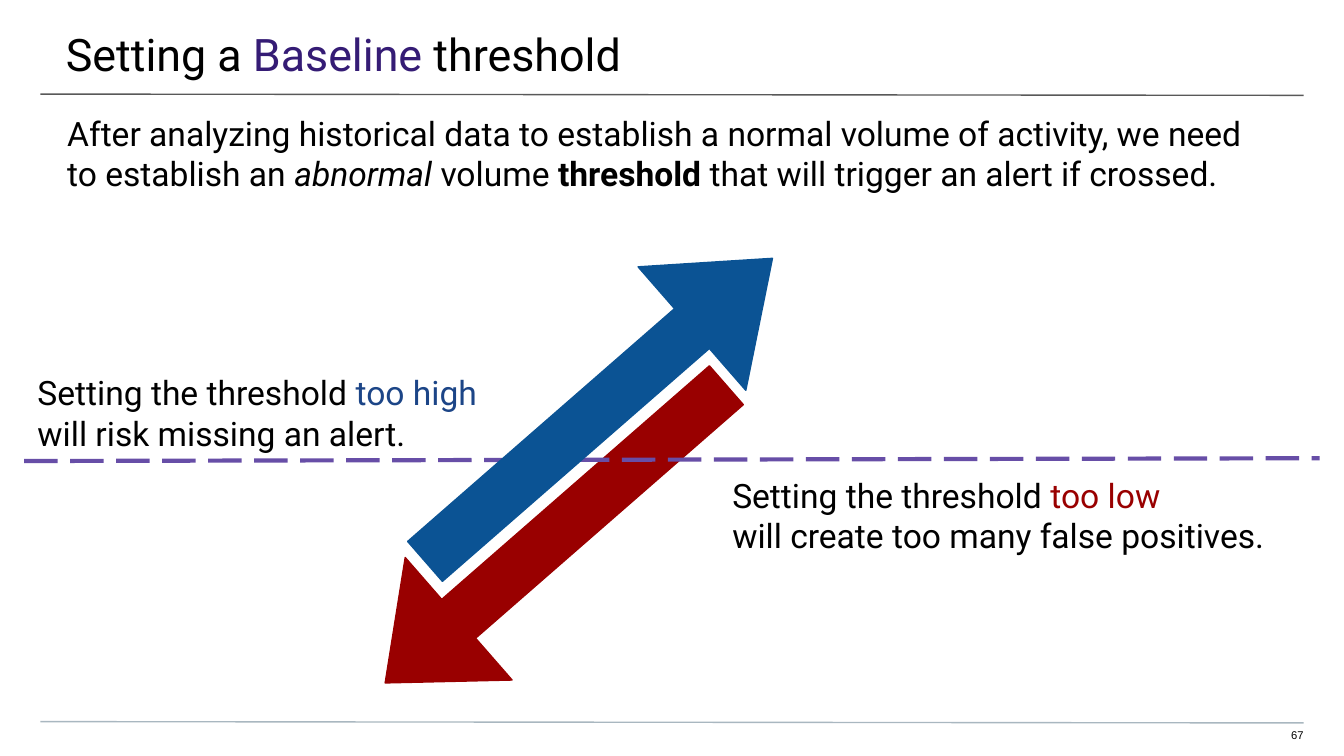
from lxml import etree
from pptx import Presentation
from pptx.dml.color import RGBColor
from pptx.enum import dml, shapes, text
from pptx.oxml.ns import qn
from pptx.util import Pt

BLACK = RGBColor(0x00, 0x00, 0x00)
PURPLE = RGBColor(0x35, 0x1C, 0x75)
VIOLET = RGBColor(0x67, 0x4E, 0xA7)
NAVY = RGBColor(0x1C, 0x45, 0x87)
BLUE = RGBColor(0x0B, 0x53, 0x94)
RED = RGBColor(0x99, 0x00, 0x00)
GRAY = RGBColor(0x59, 0x59, 0x59)
PALE = RGBColor(0xA9, 0xB7, 0xC0)

TITLE = [[("Setting a ", {}), ("Baseline", {"color": PURPLE}), (" threshold", {})]]
INTRO = [[
    ("After analyzing historical data to establish a normal volume of activity, "
     "we need to establish an ", {}),
    ("abnormal ", {"italic": True}),
    ("volume ", {}),
    ("threshold", {"bold": True}),
    (" that will trigger an alert if crossed.", {}),
]]
TOO_HIGH = [
    [("Setting the threshold ", {}), ("too high", {"color": NAVY})],
    [("will risk missing an alert.", {})],
]
TOO_LOW = [
    [("Setting the threshold ", {}), ("too low", {"color": RED})],
    [("will create too many false positives.", {})],
]
PAGE_NUMBER = [[("67", {})]]

RULES = [
    ((21.6, 50.4, 698.4, 51.1), GRAY),
    ((21.6, 386.6, 698.4, 387.3), PALE),
]
THRESHOLD = (13, 247, 707, 245.5)
LOW_ARROW = ((176.4, 242.6, 242.6, 87.1), 138.9, (0.317, 0.6), RED)
HIGH_ARROW = ((197.3, 175.7, 247, 87.8), 318.9, (0.323, 0.652), BLUE)


def write(box, paragraphs, insets, size, name="Roboto", align=text.PP_ALIGN.LEFT):
    frame = box.text_frame
    frame.word_wrap = True
    frame.auto_size = text.MSO_AUTO_SIZE.NONE
    frame.vertical_anchor = text.MSO_ANCHOR.TOP
    (frame.margin_left, frame.margin_top,
     frame.margin_right, frame.margin_bottom) = map(Pt, insets)
    for number, runs in enumerate(paragraphs):
        paragraph = frame.add_paragraph() if number else frame.paragraphs[0]
        paragraph.alignment = align
        paragraph.space_before = Pt(0)
        paragraph.font.name = name
        paragraph.font.size = Pt(size)
        for words, style in runs:
            run = paragraph.add_run()
            run.text = words
            run.font.color.rgb = style.get("color", BLACK)
            if "bold" in style:
                run.font.bold = True
            if "italic" in style:
                run.font.italic = True


def place(placeholder, left, top, width, height):
    placeholder.left, placeholder.top = Pt(left), Pt(top)
    placeholder.width, placeholder.height = Pt(width), Pt(height)


def add_text(box, *args, **kwargs):
    write(slide.shapes.add_textbox(*map(Pt, box)), *args, **kwargs)


def add_line(ends, color, width):
    line = slide.shapes.add_connector(shapes.MSO_CONNECTOR.STRAIGHT, *map(Pt, ends))
    line.line.color.rgb = color
    line.line.width = Pt(width)
    etree.SubElement(line._element.spPr, qn("a:effectLst"))
    return line


def add_arrow(box, rotation, adjustments, color):
    arrow = slide.shapes.add_shape(shapes.MSO_SHAPE.RIGHT_ARROW, *map(Pt, box))
    arrow.rotation = rotation
    for index, value in enumerate(adjustments):
        arrow.adjustments[index] = value
    arrow.shadow.inherit = False
    arrow.fill.solid()
    arrow.fill.fore_color.rgb = color
    arrow.line.color.rgb = color
    arrow.line.width = Pt(0.75)


deck = Presentation()
deck.slide_width, deck.slide_height = Pt(720), Pt(405)
slide = deck.slides.add_slide(deck.slide_layouts[0])

for ends, color in RULES:
    add_line(ends, color, 0.75)

title, intro = slide.placeholders
place(title, -0.7, 0, 722, 41.8)
write(title, TITLE, (36, 14.4, 21.6, 7.2), 24)
place(intro, 0, 53.3, 720, 28.8)
write(intro, INTRO, (36, 7.2, 36, 0), 18)
add_text((677.5, 390.2, 20.9, 8.6), PAGE_NUMBER, (0, 0, 0, 7.2), 6,
         name="Arial", align=text.PP_ALIGN.RIGHT)

add_arrow(*LOW_ARROW)
add_text((13, 192.2, 280.8, 54.7), TOO_HIGH, (7.2,) * 4, 18)
add_text((385.2, 247.3, 313.2, 77.8), TOO_LOW, (7.2,) * 4, 18)
threshold = add_line(THRESHOLD, VIOLET, 2.25)
threshold.line.dash_style = dml.MSO_LINE.LONG_DASH
add_arrow(*HIGH_ARROW)

deck.save("out.pptx")
